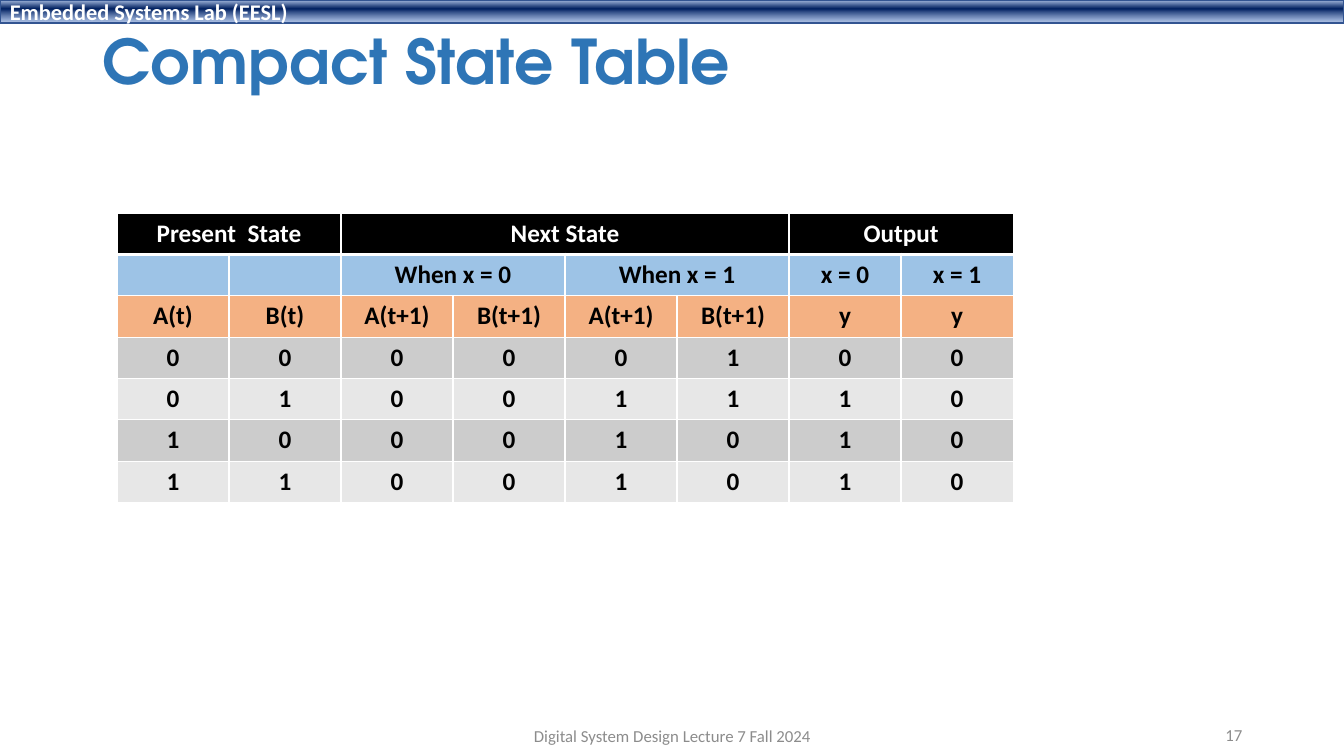
from lxml import etree
from pptx import Presentation
from pptx import util as u
from pptx.dml.color import RGBColor
from pptx.enum import shapes, text
from pptx.oxml.ns import qn

# Content
BAND = "Embedded Systems Lab (EESL)"
TITLE = "Compact State Table"
FOOTER = "Digital System Design Lecture 7 Fall 2024"
PAGE = "17"
# Heading cells as (text, columns covered)
HEADINGS = [
    [("Present  State", 2), ("Next State", 4), ("Output", 2)],
    [("", 1), ("", 1), ("When x = 0", 2), ("When x = 1", 2), ("x = 0", 1), ("x = 1", 1)],
    [(name, 1) for name in
     ("A(t)", "B(t)", "A(t+1)", "B(t+1)", "A(t+1)", "B(t+1)", "y", "y")],
]
STATES = ["00000100", "01001110", "10001010", "11001010"]

# Theme
THEME = {
    "band": [(2, "ABC0E4", 100), (38, "002060", 100), (93, "7E9ED6", 64)],
    "band_line": "325491",
    "rule": "FFFFFF",
    "rows": ["000000", "9DC3E6", "F4B183"] + ["CCCCCC", "E7E7E7"] * 2,
    "band_text": {"name": "Calibri", "size": 16, "bold": True, "color": "FFFFFF"},
    "title": {"name": "TeX Gyre Adventor", "size": 44, "bold": True, "color": "2E75B6"},
    "head": {"name": "Calibri", "size": 18, "bold": True, "color": "FFFFFF"},
    "cell": {"name": "Calibri", "size": 18, "bold": True, "color": "000000"},
    "footer": {"name": "Calibri", "size": 12, "bold": False, "color": "8C8C8C"},
}
ALIGN = text.PP_ALIGN


def write(frame, words, style, align):
    """Put one formatted paragraph in a text frame."""
    paragraph = frame.paragraphs[0]
    paragraph.alignment = align
    if words:
        paragraph.add_run().text = words
    font = paragraph.runs[0].font if words else paragraph.font
    for name, value in THEME[style].items():
        if name == "color":
            font.color.rgb = RGBColor.from_string(value)
        else:
            setattr(font, name, u.Pt(value) if name == "size" else value)
    return paragraph


def place(shape, left, top, width, height):
    for name, value in zip(("left", "top", "width", "height"), (left, top, width, height)):
        setattr(shape, name, u.Inches(value))


def fill_gradient(shape, stops):
    """Give a shape a vertical gradient of (percent, colour, opacity) stops."""
    shape.fill.gradient()
    shape.fill.gradient_angle = 270
    stop_list = shape.fill._fill._gradFill.find(qn("a:gsLst"))
    for stop in list(stop_list):
        stop_list.remove(stop)
    for percent, color, opacity in stops:
        stop = etree.SubElement(stop_list, qn("a:gs"), pos=str(percent * 1000))
        rgb = etree.SubElement(stop, qn("a:srgbClr"), val=color)
        if opacity < 100:
            etree.SubElement(rgb, qn("a:alpha"), val=str(opacity * 1000))


def add_borders(cell, bottom):
    """Borders come before the fill in the cell properties."""
    properties = cell._tc.get_or_add_tcPr()
    for index, (side, width) in enumerate([("L", 1), ("R", 1), ("T", 1), ("B", bottom)]):
        line = etree.Element(qn("a:ln" + side), w=str(u.Pt(width)))
        solid = etree.SubElement(line, qn("a:solidFill"))
        etree.SubElement(solid, qn("a:srgbClr"), val=THEME["rule"])
        properties.insert(index, line)


def add_band(slide):
    band = slide.shapes.add_shape(shapes.MSO_SHAPE.RECTANGLE, 0, 0,
                                  u.Inches(13.33), u.Inches(0.23))
    band.shadow.inherit = False
    fill_gradient(band, THEME["band"])
    band.line.color.rgb = RGBColor.from_string(THEME["band_line"])
    band.line.width = u.Pt(1)
    frame = band.text_frame
    frame.margin_top = frame.margin_bottom = 0
    frame.vertical_anchor = text.MSO_ANCHOR.MIDDLE
    write(frame, BAND, "band_text", ALIGN.LEFT)
    slide.shapes._spTree.insert(2, band._element)


def add_title(slide):
    title = slide.shapes.title
    place(title, 0.92, 0.15, 11.5, 0.99)
    title.text_frame.auto_size = text.MSO_AUTO_SIZE.NONE
    title.text_frame.vertical_anchor = text.MSO_ANCHOR.MIDDLE
    write(title.text_frame, TITLE, "title", ALIGN.LEFT).line_spacing = 0.9


def add_state_table(slide):
    rows = HEADINGS + [[(bit, 1) for bit in state] for state in STATES]
    columns = len(STATES[0])
    table = slide.shapes.add_table(len(rows), columns, u.Inches(1.16), u.Inches(2.12),
                                   u.Inches(8.89), u.Inches(2.83)).table
    for row_index, row in enumerate(rows):
        table.rows[row_index].height = u.Inches(0.41 if row_index else 0.39)
        for cell in table.rows[row_index].cells:
            cell.fill.solid()
            cell.fill.fore_color.rgb = RGBColor.from_string(THEME["rows"][row_index])
            add_borders(cell, 1 if row_index else 3)
        column = 0
        for words, span in row:
            cell = table.cell(row_index, column)
            if span > 1:
                cell.merge(table.cell(row_index, column + span - 1))
            write(cell.text_frame, words, "cell" if row_index else "head", ALIGN.CENTER)
            column += span


def add_footer(slide, words, align, *box):
    footer = slide.shapes.add_textbox(0, 0, 0, 0)
    place(footer, *box)
    footer.text_frame.word_wrap = True
    footer.text_frame.vertical_anchor = text.MSO_ANCHOR.MIDDLE
    write(footer.text_frame, words, "footer", align)


def main():
    presentation = Presentation()
    presentation.slide_width = u.Inches(13.33)
    presentation.slide_height = u.Inches(7.5)
    slide = presentation.slides.add_slide(presentation.slide_layouts[5])
    add_band(slide)
    add_title(slide)
    add_state_table(slide)
    add_footer(slide, PAGE, ALIGN.RIGHT, 9.42, 7.09, 3, 0.4)
    add_footer(slide, FOOTER, ALIGN.CENTER, 4.42, 7.1, 4.5, 0.4)
    presentation.save("out.pptx")


if __name__ == "__main__":
    main()
